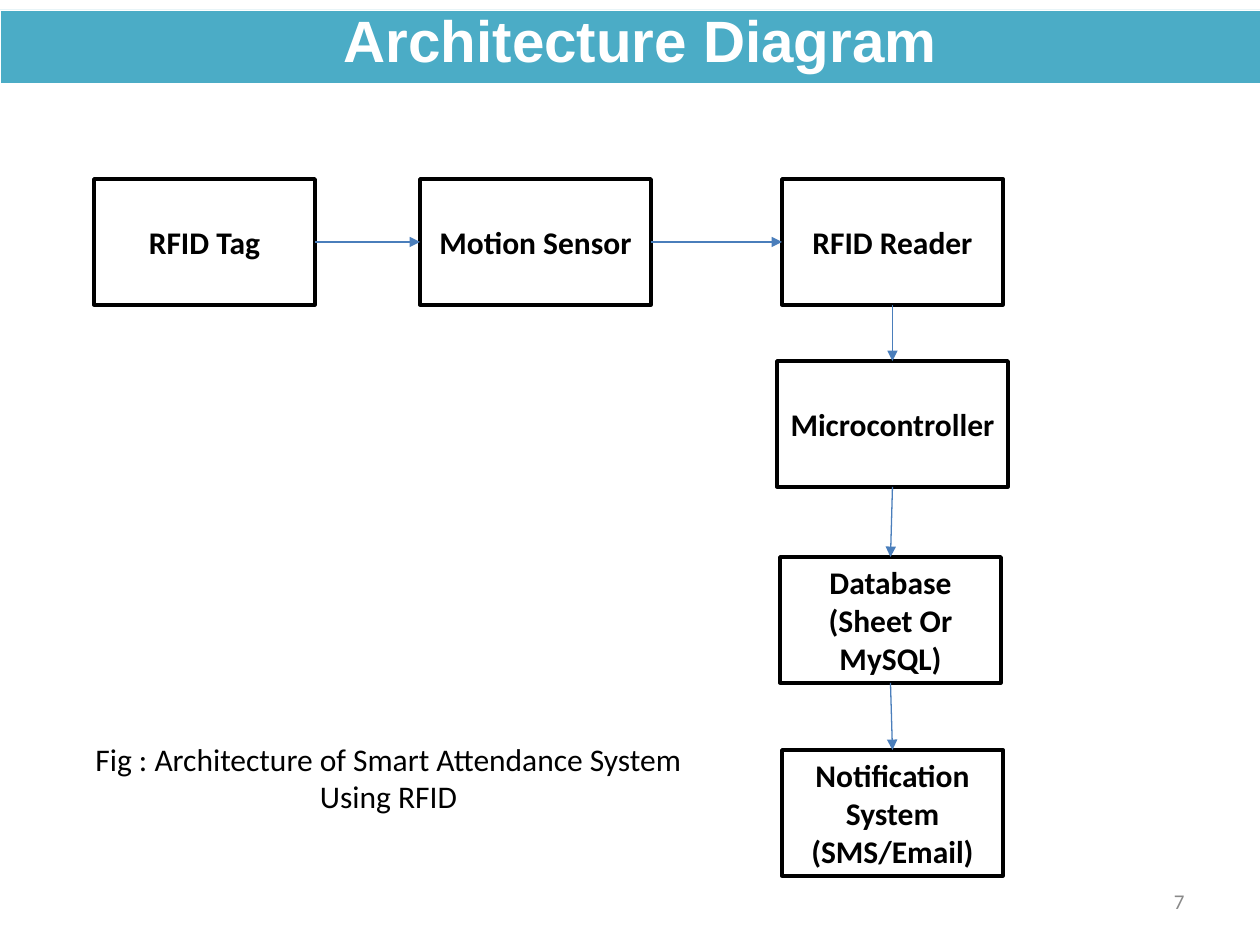
from itertools import pairwise

from lxml import etree
from pptx import Presentation
from pptx.dml.color import RGBColor
from pptx.enum.shapes import MSO_CONNECTOR, MSO_SHAPE
from pptx.enum.text import MSO_ANCHOR, MSO_AUTO_SIZE, PP_ALIGN
from pptx.oxml.ns import qn
from pptx.util import Inches, Pt

RECTANGLE = MSO_SHAPE.RECTANGLE
STRAIGHT = MSO_CONNECTOR.STRAIGHT
MIDDLE = MSO_ANCHOR.MIDDLE
NO_FIT = MSO_AUTO_SIZE.NONE
CENTER, RIGHT = PP_ALIGN.CENTER, PP_ALIGN.RIGHT

TEAL = RGBColor(0x4B, 0xAC, 0xC6)
BLUE = RGBColor(0x4A, 0x7E, 0xBB)
GRAY = RGBColor(0x89, 0x89, 0x89)
BLACK = RGBColor(0, 0, 0)
WHITE = RGBColor(255, 255, 255)

HEADING = {"name": "Arial", "size": Pt(33.3), "bold": True}
STEP = {"name": "Calibri", "size": Pt(18), "bold": True}
CAPTION = {"name": "Calibri", "size": Pt(18), "bold": False}
NUMBER = {"name": "Calibri", "size": Pt(12), "bold": False}

TOP, LEFT, BOTTOM, RIGHT_SIDE = 0, 1, 2, 3
STEP_HEIGHT = 126
STEPS = [
    ("RFID Tag", 0, 0, 221),
    ("Motion Sensor", 326, 0, 231),
    ("RFID Reader", 688, 0, 221),
    ("Microcontroller", 683, 182, 231),
    ("Database\n(Sheet Or MySQL)", 686, 378, 221),
    ("Notification System (SMS/Email)", 688, 571, 221),
]


def px(length):
    return round(length * Inches(1) / 126)


def write(shape, text, style, color, align=CENTER):
    frame = shape.text_frame
    frame.text = text
    frame.word_wrap = True
    frame.auto_size = NO_FIT
    frame.vertical_anchor = MIDDLE
    for paragraph in frame.paragraphs:
        paragraph.alignment = align
        for run in paragraph.runs:
            for attribute, value in style.items():
                setattr(run.font, attribute, value)
            run.font.color.rgb = color


def add_rectangle(slide, box, fill, outline, weight):
    rectangle = slide.shapes.add_shape(RECTANGLE, *map(px, box))
    rectangle.shadow.inherit = False
    rectangle.fill.solid()
    rectangle.fill.fore_color.rgb = fill
    rectangle.line.color.rgb = outline
    rectangle.line.width = Pt(weight)
    return rectangle


def add_header(slide, left, top, width, height):
    band = add_rectangle(slide, (left, top, width, height), TEAL, WHITE, 0.25)
    heading = slide.shapes.title
    heading.left, heading.top = px(left + 63), px(top - 10)
    heading.width, heading.height = px(width - 105), px(height + 15)
    write(heading, "Architecture Diagram", HEADING, WHITE)
    heading.text_frame.paragraphs[0].line_spacing = 0.9
    band._element.addnext(heading._element)


def add_arrow(slide, source, target):
    same_row = source.top == target.top
    start, end = (RIGHT_SIDE, LEFT) if same_row else (BOTTOM, TOP)
    arrow = slide.shapes.add_connector(STRAIGHT, 0, 0, 0, 0)
    arrow.begin_connect(source, start)
    arrow.end_connect(target, end)
    arrow.line.color.rgb = BLUE
    arrow.line.width = Pt(0.75)
    etree.SubElement(arrow.line._get_or_add_ln(), qn("a:tailEnd"), type="triangle")
    etree.SubElement(arrow._element.spPr, qn("a:effectLst"))


def add_flow(slide, left, top):
    steps = []
    for label, x, y, width in STEPS:
        box = (left + x, top + y, width, STEP_HEIGHT)
        step = add_rectangle(slide, box, WHITE, BLACK, 2)
        write(step, label, STEP, BLACK)
        steps.append(step)
    for source, target in pairwise(steps):
        add_arrow(slide, source, target)


def add_label(slide, box, text, style, color, align):
    label = slide.shapes.add_textbox(*map(px, box))
    write(label, text, style, color, align)


def main():
    deck = Presentation()
    deck.slide_width, deck.slide_height = px(1260), px(945)
    slide = deck.slides.add_slide(deck.slide_layouts[5])
    add_header(slide, 0, 10, 1260, 73)
    add_flow(slide, 94, 179)
    add_label(slide, (61, 683, 655, 189),
              "Fig : Architecture of Smart Attendance System Using RFID",
              CAPTION, BLACK, CENTER)
    add_label(slide, (903, 876, 294, 50), "7", NUMBER, GRAY, RIGHT)
    deck.save("out.pptx")


if __name__ == "__main__":
    main()
